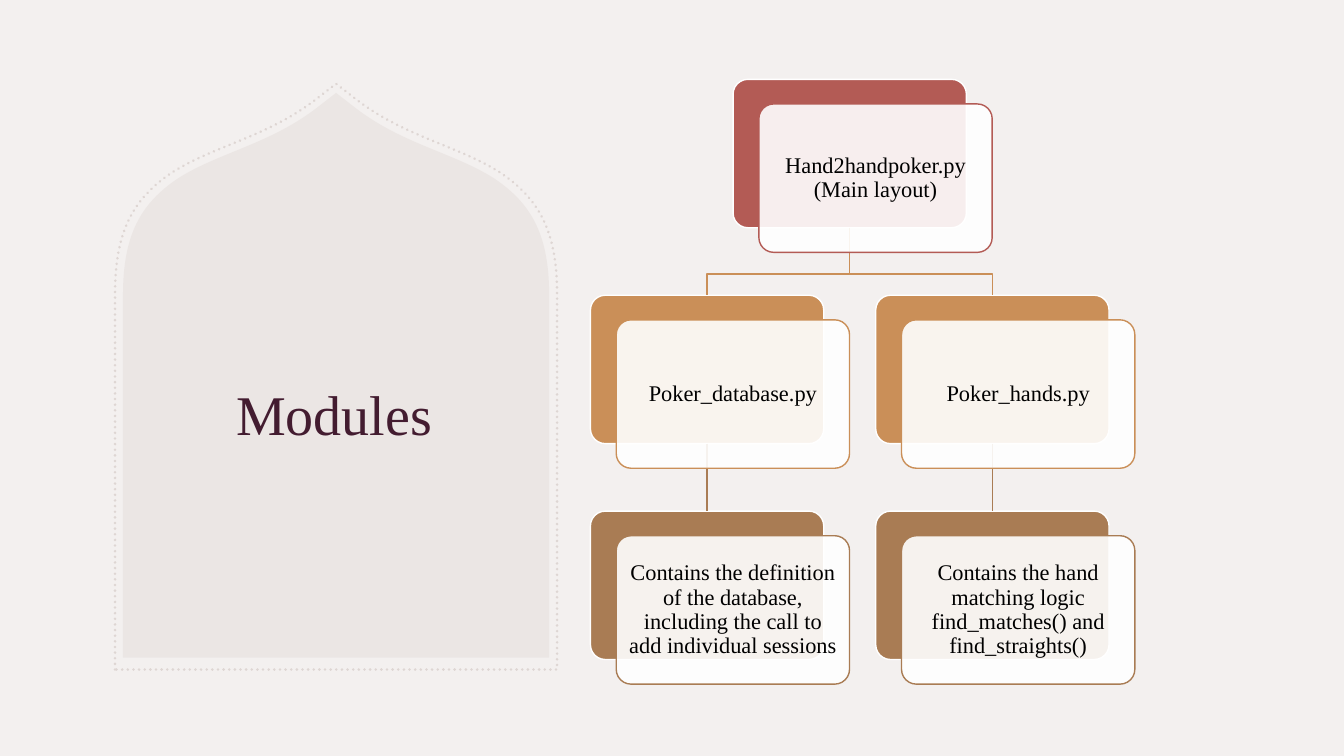
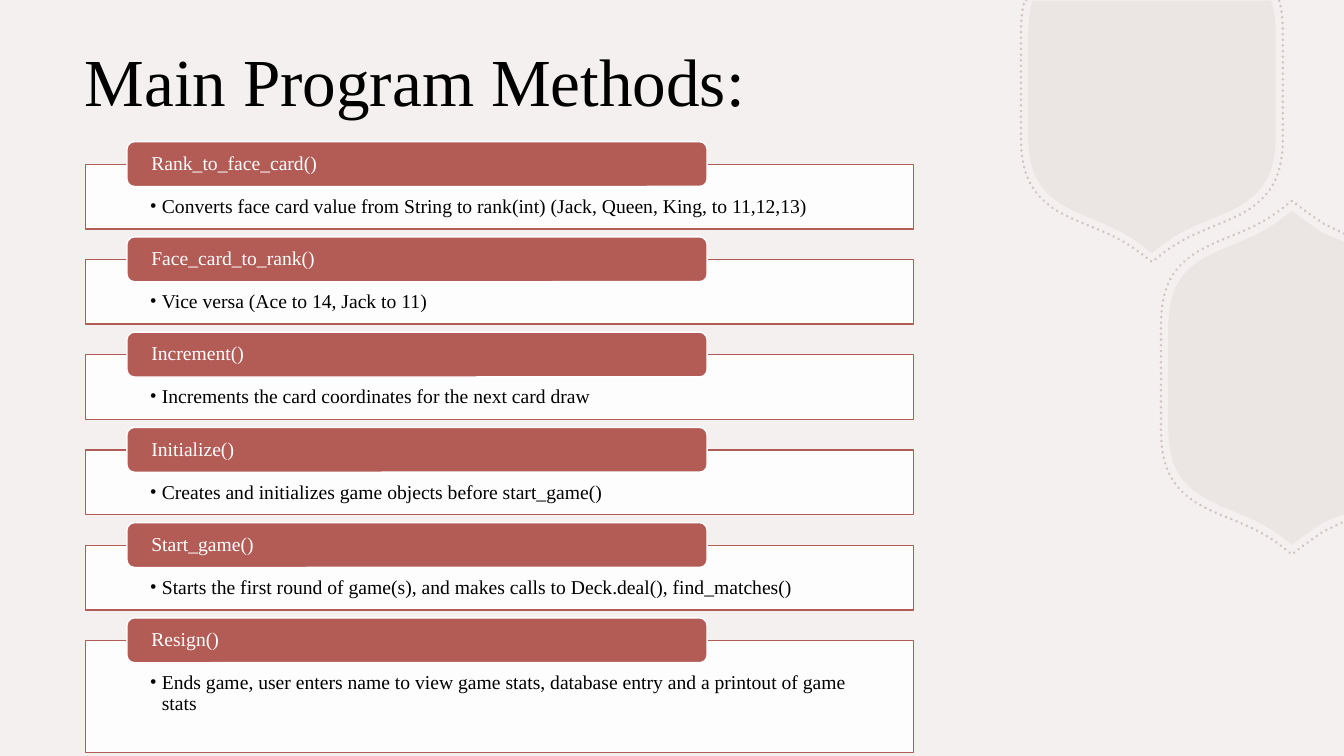
from dataclasses import dataclass
from typing import Optional

from lxml.etree import SubElement
from pptx import Presentation
from pptx.dml.color import RGBColor
from pptx.enum.dml import MSO_LINE
from pptx.enum.shapes import MSO_CONNECTOR, MSO_SHAPE
from pptx.enum.text import MSO_ANCHOR, MSO_AUTO_SIZE, PP_ALIGN
from pptx.oxml.ns import qn
from pptx.shapes.autoshape import Shape
from pptx.slide import Slide, SlideLayout
from pptx.util import Cm, Pt

# Shared look
FONT = "Times New Roman"
PAPER = RGBColor(0xF3, 0xF0, 0xEF)
SAND = RGBColor(0xBF, 0xAF, 0xAA)
PALE = RGBColor(0xDE, 0xD6, 0xD3)
PLUM = RGBColor(0x43, 0x1C, 0x30)
RED = RGBColor(0xB3, 0x5B, 0x55)
GOLD = RGBColor(0xCA, 0x8F, 0x58)
BROWN = RGBColor(0xA9, 0x7C, 0x54)
BLACK = RGBColor(0, 0, 0)
WHITE = RGBColor(0xFF, 0xFF, 0xFF)
WIDE, HIGH = 33.87, 19.05

Point = tuple[float, float]
# A start point, then lines (one point) and curves (three points)
Route = list[tuple[Point, ...]]


def back(route: Route) -> Route:
    """The same route walked from its end."""
    turned = [(route[-1][-1],)]
    for i in range(len(route) - 1, 0, -1):
        turned.append(tuple(reversed(route[i][:-1])) + (route[i - 1][-1],))
    return turned


def place(route: Route, mid: float, top: float, wide: float,
          high: float) -> Route:
    return [tuple((mid + x * wide, top + y * high) for x, y in part)
            for part in route]


def mirror(route: Route) -> Route:
    return place(route, 0, 0, -1, 1)


# Outlines from a tip at 0, 0, in units of half the width
SIDE: Route = [
    ((0, 0),), ((0.09, 0.07),),
    ((0.31, 0.24), (0.55, 0.28), (0.74, 0.4)),
    ((0.92, 0.52), (1, 0.67), (1, 0.95)),
]
WALL: Route = SIDE + [((1, 2.65),)]
ARCH = back(mirror(WALL)) + WALL[1:]
CUP: Route = SIDE + [((1, 1.75),), ((1, 1.85), (0.99, 1.94), (0.97, 2.02)),
                     ((0.96, 2.04),)]
UPPER = back(mirror(CUP)) + CUP[1:]
STUB: Route = [((0, 0),), ((0.09, 0.07),),
               ((0.15, 0.11), (0.2, 0.15), (0.25, 0.18)), ((0.42, 0.25),)]
EDGE = mirror(SIDE)
LOWER = (back(STUB) + EDGE[1:] + place(back(EDGE), 0, 2.7, 1, -1)
         + place(STUB, 0, 2.7, 1, -1)[1:])


@dataclass(frozen=True)
class Niche:
    """Tinted panel with a dotted rim; lengths in cm."""
    route: Route
    mid: float
    tip: float
    half: float
    rim_tip: float
    rim_half: float
    hue: RGBColor
    share: int = 100
    way: int = 1  # -1 has the tip below
    shut: bool = False


@dataclass(frozen=True)
class Card:
    col: float
    row: int
    text: str
    hue: RGBColor


@dataclass(frozen=True)
class Method:
    name: str
    note: str
    high: float = 1.63


DOOR = Niche(ARCH, 8.47, 2.34, 5.37, 2.11, 5.57, PALE, shut=True)
GEMS = (Niche(UPPER, 29.03, 6.38, 3.12, 6.6, 3.3, SAND, 65, -1),
        Niche(LOWER, 32.56, 5.31, 3.12, 5.06, 3.3, SAND, 65))

CARDS = (
    Card(0.5, 0, "Hand2handpoker.py (Main layout)", RED),
    Card(0, 1, "Poker_database.py", GOLD),
    Card(1, 1, "Poker_hands.py", GOLD),
    Card(0, 2, "Contains the definition of the database, including the call "
         "to add individual sessions", BROWN),
    Card(1, 2, "Contains the hand matching logic find_matches() and "
         "find_straights()", BROWN),
)

METHODS = (
    Method("Rank_to_face_card()", "Converts face card value from String to "
           "rank(int) (Jack, Queen, King, to 11,12,13)"),
    Method("Face_card_to_rank()", "Vice versa (Ace to 14, Jack to 11)"),
    Method("Increment()",
           "Increments the card coordinates for the next card draw"),
    Method("Initialize()",
           "Creates and initializes game objects before start_game()"),
    Method("Start_game()", "Starts the first round of game(s), and makes "
           "calls to Deck.deal(), find_matches()"),
    Method("Resign()", "Ends game, user enters name to view game stats, "
           "database entry and a printout of game stats", 2.82),
)


# Paint and text helpers
def fade(fill, share: int) -> None:
    if share < 100:
        SubElement(fill[0], qn("a:alpha"), val=str(share * 1000))


def paint(shape: Shape, fill: Optional[RGBColor], line: Optional[RGBColor],
          share: int = 100) -> None:
    shape.shadow.inherit = False
    if fill is None:
        shape.fill.background()
    else:
        shape.fill.solid()
        shape.fill.fore_color.rgb = fill
        fade(shape.element.spPr.find(qn("a:solidFill")), share)
    if line is None:
        shape.line.fill.background()
    else:
        shape.line.color.rgb = line
        shape.line.width = Pt(1)


def write(shape: Shape, text: str, size: int, hue: RGBColor,
          pads: tuple[float, float, float, float],
          align: PP_ALIGN = PP_ALIGN.LEFT,
          anchor: MSO_ANCHOR = MSO_ANCHOR.MIDDLE,
          space: float = 0.9, bullet: bool = False) -> None:
    frame = shape.text_frame
    frame.word_wrap = True
    frame.auto_size = MSO_AUTO_SIZE.NONE
    frame.vertical_anchor = anchor
    (frame.margin_left, frame.margin_top,
     frame.margin_right, frame.margin_bottom) = map(Cm, pads)
    para = frame.paragraphs[0]
    para.alignment = align
    para.line_spacing = space
    if bullet:
        props = para._p.get_or_add_pPr()
        props.set("marL", str(Cm(0.3)))
        props.set("indent", str(-Cm(0.3)))
        SubElement(props, qn("a:buFont"), typeface=FONT)
        SubElement(props, qn("a:buChar"), char="•")
    para.font.name = FONT
    para.font.size = Pt(size)
    run = para.add_run()
    run.text = text
    run.font.name = FONT
    run.font.size = Pt(size)
    run.font.color.rgb = hue


def box(slide: Slide, kind: MSO_SHAPE, left: float, top: float,
        wide: float, high: float) -> Shape:
    return slide.shapes.add_shape(kind, Cm(left), Cm(top), Cm(wide), Cm(high))


def head(slide: Slide, text: str, size: int, hue: RGBColor,
         area: tuple[float, float, float, float], align: PP_ALIGN,
         anchor: MSO_ANCHOR) -> None:
    title = slide.shapes.title
    title.left, title.top, title.width, title.height = map(Cm, area)
    write(title, text, size, hue, (0.25, 0.13, 0.25, 0.13), align, anchor, 1.0)
    slide.shapes.element.append(title.element)  # above the panel


# Outlines
def draw(slide: Slide, route: Route, shut: bool) -> Shape:
    marks = [(Cm(min(x, WIDE)), Cm(max(y, 0))) for part in route
             for x, y in part]
    pen = slide.shapes.build_freeform(*marks[0])
    pen.add_line_segments(marks[1:], close=shut)
    shape = pen.convert_to_shape()
    # Join the three points of each curve
    lines = iter(list(shape.element.iter(qn("a:lnTo"))))
    for part in route[1:]:
        steps = [next(lines) for _ in part]
        if len(steps) == 3:
            bend = SubElement(steps[0].getparent(), qn("a:cubicBezTo"))
            steps[0].addprevious(bend)
            for step in steps:
                bend.append(step[0])
                step.getparent().remove(step)
    return shape


def niche(slide: Slide, spec_of: Niche) -> list[Shape]:
    n = spec_of
    panel = draw(slide, place(n.route, n.mid, n.tip, n.half,
                              n.half * n.way), True)
    paint(panel, SAND, None, 15)
    rim = draw(slide, place(n.route, n.mid, n.rim_tip, n.rim_half,
                            n.rim_half * n.way), n.shut)
    paint(rim, None, n.hue)
    rim.line.width = Pt(2)
    rim.line.dash_style = MSO_LINE.ROUND_DOT
    edge = rim.element.spPr.find(qn("a:ln"))
    edge.set("cap", "rnd")
    fade(edge.find(qn("a:solidFill")), n.share)
    return [panel, rim]


def adorn(slide: Slide, layout: SlideLayout) -> None:
    """Put the gems on the layout that the slides share."""
    for gem in GEMS:
        for shape in niche(slide, gem):
            layout.shapes.element.append(shape.element)


# Tree of cards
def tree(slide: Slide) -> None:
    left, top, wide, high = 14.88, 2.0, 5.88, 3.74
    across, down, fork = 7.19, 5.44, 6.91
    spots = [(left + c.col * across, top + c.row * down) for c in CARDS]
    backs = []
    for card, (x, y) in zip(CARDS, spots):
        rear = box(slide, MSO_SHAPE.ROUNDED_RECTANGLE, x, y, wide, high)
        rear.adjustments[0] = 0.1
        paint(rear, card.hue, WHITE)
        backs.append(rear)

    # Links lie between the back and front cards
    root = left + (across + wide) / 2
    for i in (1, 2):
        x, y = spots[i][0] + wide / 2, spots[i][1]
        elbow = draw(slide, [((root, top + high),), ((root, fork),),
                             ((x, fork),), ((x, y),)], False)
        paint(elbow, None, GOLD)
        line = slide.shapes.add_connector(
            MSO_CONNECTOR.STRAIGHT, Cm(x), Cm(y + high), Cm(x), Cm(y + down))
        line.line.color.rgb = BROWN
        line.line.width = Pt(1)
        SubElement(line._element.spPr, qn("a:effectLst"))
        line.begin_connect(backs[i], 2)
        line.end_connect(backs[i + 2], 0)

    for card, (x, y) in zip(CARDS, spots):
        front = box(slide, MSO_SHAPE.ROUNDED_RECTANGLE,
                    x + 0.65, y + 0.62, wide, high)
        front.adjustments[0] = 0.1
        paint(front, WHITE, card.hue, 90)
        write(front, card.text, 16, BLACK, (0.18,) * 4, PP_ALIGN.CENTER)


# List of methods
def listing(slide: Slide) -> None:
    for i, item in enumerate(METHODS):
        top = 4.14 + i * 2.4
        body = box(slide, MSO_SHAPE.RECTANGLE, 2.15, top, 20.88, item.high)
        paint(body, WHITE, RED, 90)
        write(body, item.note, 14, BLACK, (1.63, 0.81, 1.63, 0.28),
              anchor=MSO_ANCHOR.TOP, bullet=True)
        tab = box(slide, MSO_SHAPE.ROUNDED_RECTANGLE,
                  3.2, top - 0.57, 14.62, 1.13)
        paint(tab, RED, WHITE)
        write(tab, item.name, 14, WHITE, (0.56, 0, 0.56, 0))


def main() -> None:
    deck = Presentation()
    deck.slide_width, deck.slide_height = Cm(WIDE), Cm(HIGH)
    ground = deck.slide_master.background.fill
    ground.solid()
    ground.fore_color.rgb = PAPER
    plain = deck.slide_layouts.get_by_name("Title Only")

    # Modules, on a plain ground
    slide = deck.slides.add_slide(plain)
    adorn(slide, plain)
    paint(box(slide, MSO_SHAPE.RECTANGLE, 0, 0, WIDE, HIGH), PAPER, None)
    niche(slide, DOOR)
    head(slide, "Modules", 40, PLUM, (4.09, 6.4, 8.66, 8.0),
         PP_ALIGN.CENTER, MSO_ANCHOR.MIDDLE)
    tree(slide)

    # Main program methods
    slide = deck.slides.add_slide(plain)
    head(slide, "Main Program Methods:", 48, BLACK, (1.88, 0.86, 25, 2.31),
         PP_ALIGN.LEFT, MSO_ANCHOR.TOP)
    listing(slide)

    deck.save("out.pptx")


if __name__ == "__main__":
    main()
